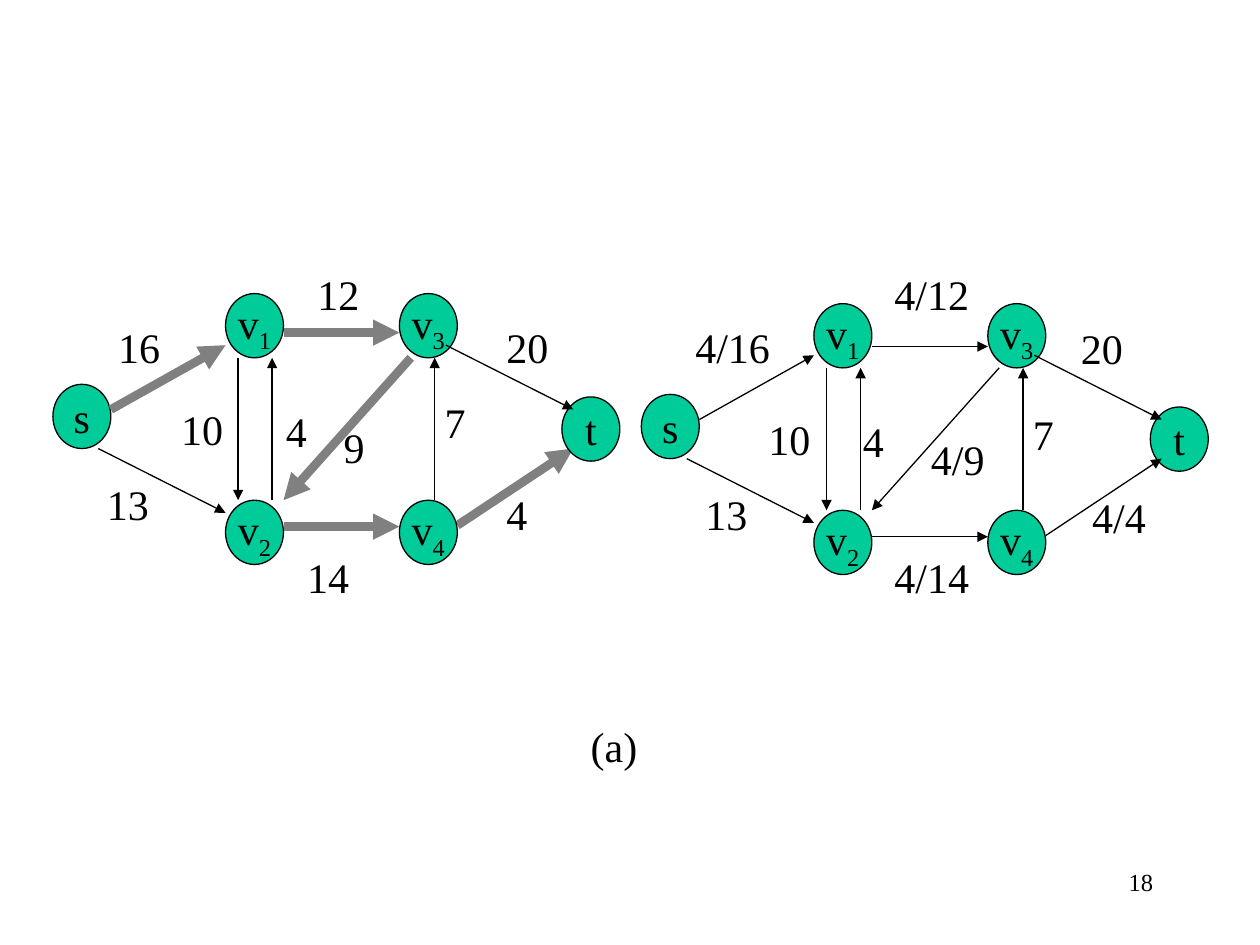
from lxml.etree import SubElement
from pptx import Presentation
from pptx.dml.color import RGBColor
from pptx.enum.shapes import MSO_CONNECTOR as Connector, MSO_SHAPE as Shape
from pptx.enum.text import MSO_ANCHOR as Anchor, MSO_AUTO_SIZE as AutoSize, PP_ALIGN as Align
from pptx.oxml.ns import qn
from pptx.util import Inches, Pt

BLACK = RGBColor(0x00, 0x00, 0x00)
GRAY = RGBColor(0x80, 0x80, 0x80)
GREEN = RGBColor(0x00, 0xCC, 0x99)
FONT = "Times New Roman"

NODE_WIDTH, NODE_HEIGHT = 0.46, 0.51
NODES = {
    "s": (0.42, 3.05), "t": (4.46, 3.15),
    "v1": (1.79, 2.33), "v2": (1.79, 3.97),
    "v3": (3.17, 2.33), "v4": (3.17, 3.97),
}
EDGES = {
    "s-v1": (0.88, 3.25, 1.79, 2.74),
    "s-v2": (0.78, 3.56, 1.79, 4.07),
    "v1-v3": (2.25, 2.64, 3.17, 2.64),
    "v2-v4": (2.25, 4.18, 3.17, 4.18),
    "v1-v2": (1.89, 2.84, 1.89, 3.97),
    "v2-v1": (2.16, 3.97, 2.16, 2.84),
    "v3-v2": (3.26, 2.84, 2.25, 3.97),
    "v4-v3": (3.45, 3.97, 3.45, 2.84),
    "v3-t": (3.54, 2.74, 4.55, 3.25),
    "v4-t": (3.63, 4.17, 4.55, 3.56),
}
AUGMENTING_PATH = {"s-v1", "v1-v3", "v3-v2", "v2-v4", "v4-t"}
CAPACITIES = [
    ("16", 0.84, 2.5), ("13", 0.75, 3.75), ("12", 2.42, 2.08),
    ("10", 1.34, 3.15), ("4", 2.17, 3.17), ("9", 2.63, 3.3),
    ("7", 3.43, 3.1), ("20", 3.92, 2.5), ("4", 3.92, 3.83),
    ("14", 2.34, 4.33),
]
FLOWS = [
    ("4/16", 5.42, 2.5), ("13", 5.5, 3.83), ("4/12", 7, 2.08),
    ("10", 6, 3.23), ("4", 6.75, 3.25), ("4/9", 7.29, 3.39),
    ("7", 8.1, 3.19), ("20", 8.48, 2.51), ("4/4", 8.57, 3.85),
    ("4/14", 7, 4.33),
]
FLOW_OFFSET = (4.67, 0.08)
CHARACTER_WIDTHS = {"/": 0.09, "(": 0.11, ")": 0.11, "a": 0.15}


def label_width(text):
    """Width in inches of a 24-point label with its side insets."""
    return 0.2 + sum(CHARACTER_WIDTHS.get(character, 0.167) for character in text)


def write_text(frame, text, subscript="", size=24, align=Align.LEFT, wrap=False):
    frame.word_wrap = wrap
    para = frame.paragraphs[0]
    para.alignment = align
    for part in filter(None, (text, subscript)):
        span = para.add_run()
        span.text = part
        span.font.name = FONT
        span.font.size = Pt(size)
        span.font.color.rgb = BLACK
    if subscript:
        span.font._element.set("baseline", "-25000")


class GraphPage:
    def __init__(self, page):
        self.page = page

    def node(self, name, left, top):
        box = self.page.shapes.add_shape(
            Shape.OVAL, Inches(left), Inches(top), Inches(NODE_WIDTH), Inches(NODE_HEIGHT))
        box.shadow.inherit = False
        box.fill.solid()
        box.fill.fore_color.rgb = GREEN
        box.line.color.rgb = BLACK
        box.line.width = Pt(0.75)
        box.text_frame.vertical_anchor = Anchor.MIDDLE
        write_text(box.text_frame, name[0], subscript=name[1:], align=Align.CENTER)

    def arrow(self, ends, bold=False):
        line = self.page.shapes.add_connector(Connector.STRAIGHT, *map(Inches, ends))
        line.line.color.rgb = GRAY if bold else BLACK
        line.line.width = Pt(5 if bold else 0.75)
        SubElement(line.line._get_or_add_ln(), qn("a:tailEnd"), type="triangle")
        SubElement(line._element.spPr, qn("a:effectLst"))

    def label(self, text, left, top):
        box = self.page.shapes.add_textbox(
            Inches(left), Inches(top), Inches(label_width(text)), Inches(0.5))
        box.text_frame.auto_size = AutoSize.SHAPE_TO_FIT_TEXT
        write_text(box.text_frame, text)

    def page_number(self, text):
        box = self.page.shapes.add_textbox(
            Inches(7.17), Inches(6.83), Inches(2.08), Inches(0.5))
        write_text(box.text_frame, text, size=14, align=Align.RIGHT, wrap=True)

    def network(self, edges, labels, offset=(0, 0), bold=(), behind=()):
        """Draw one flow network; edges named in behind go under the nodes."""
        dx, dy = offset

        def draw_edges(names):
            for name in names:
                x1, y1, x2, y2 = edges[name]
                self.arrow((x1 + dx, y1 + dy, x2 + dx, y2 + dy), bold=name in bold)

        draw_edges(behind)
        for name, (left, top) in NODES.items():
            self.node(name, left + dx, top + dy)
        draw_edges(name for name in edges if name not in behind)
        for text, left, top in labels:
            self.label(text, left, top)


def main():
    deck = Presentation()
    deck.slide_width, deck.slide_height = Inches(10), Inches(7.5)
    graph_page = GraphPage(deck.slides.add_slide(deck.slide_layouts[6]))
    graph_page.network(EDGES, CAPACITIES, bold=AUGMENTING_PATH, behind=["v4-t"])
    flow_edges = EDGES | {"v1-v3": (2.25, 2.67, 3.17, 2.67)}
    graph_page.network(flow_edges, FLOWS, offset=FLOW_OFFSET)
    graph_page.label("(a)", 4.59, 5.67)
    graph_page.page_number("18")
    deck.save("out.pptx")


if __name__ == "__main__":
    main()
